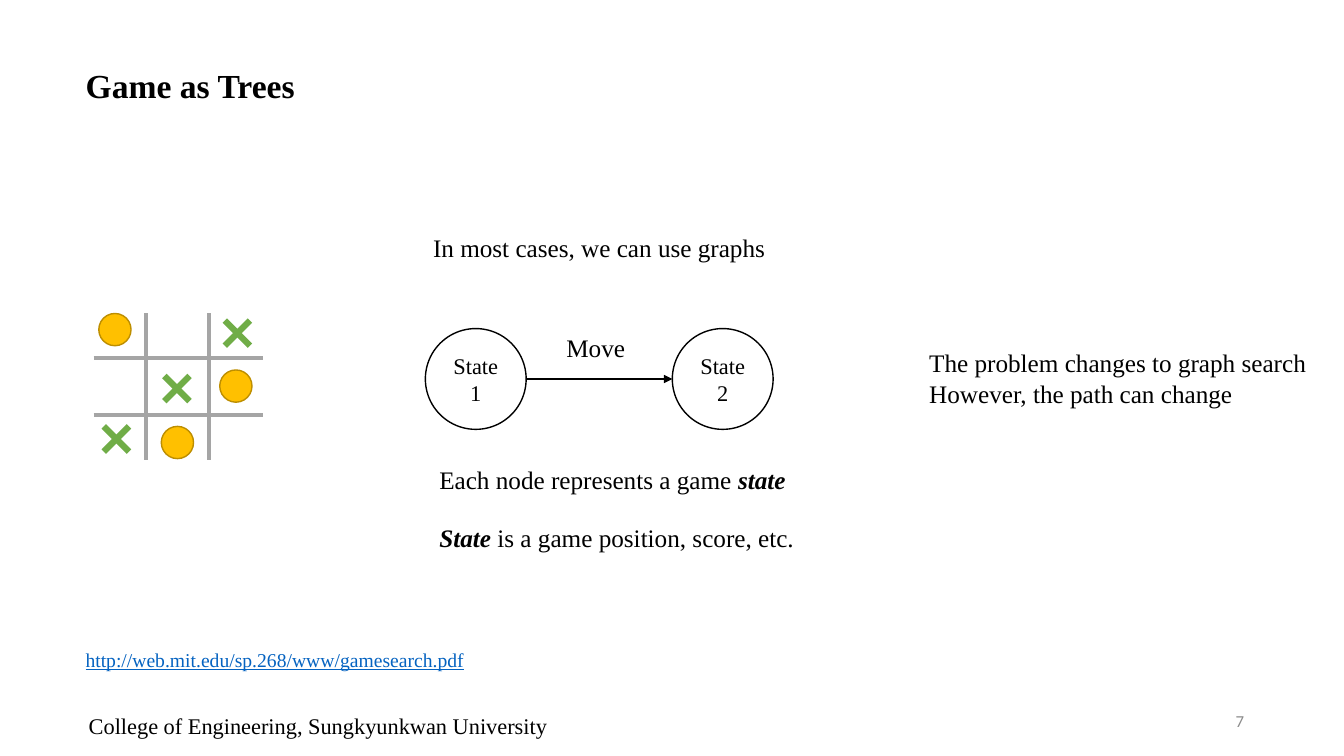
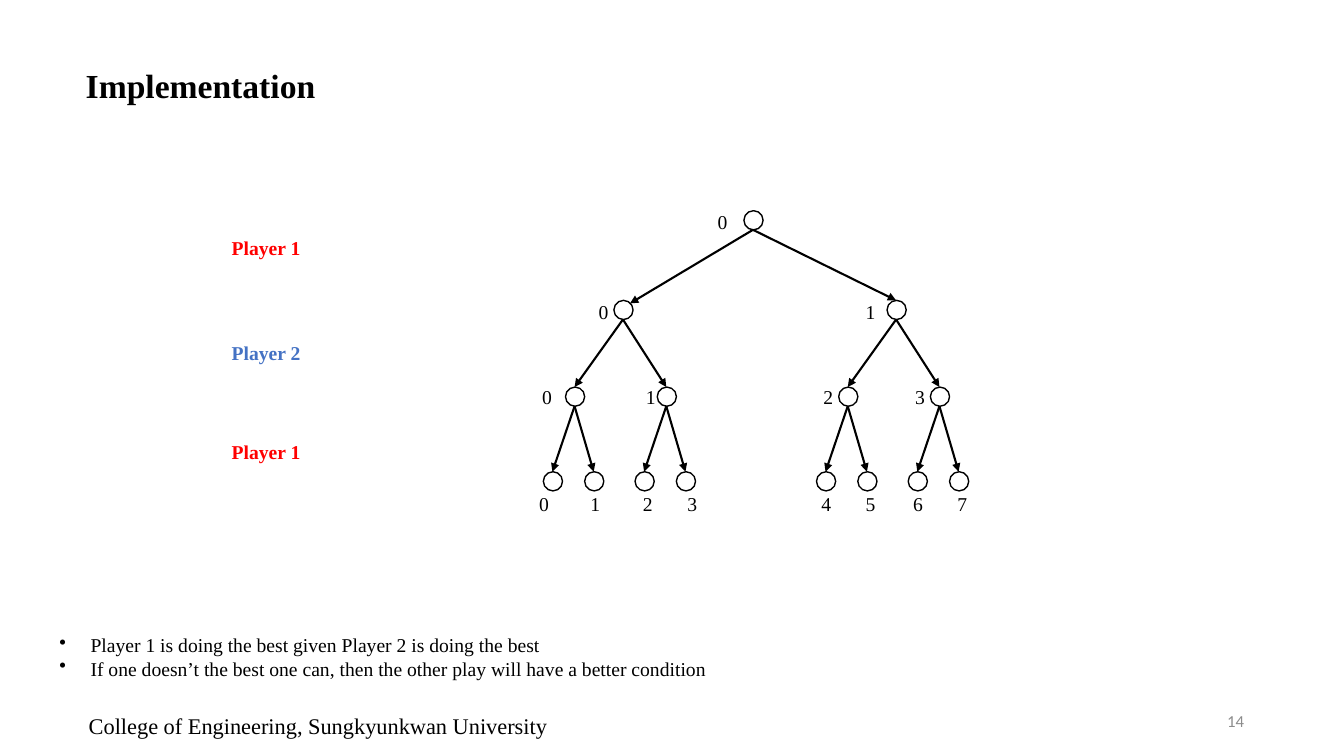
from lxml import etree
from pptx import Presentation, util as u
from pptx.dml.color import RGBColor
from pptx.enum import shapes, text
from pptx.oxml.ns import qn

PX = 9144
SERIF = "Times New Roman"
COLORS = {
    "black": "000000", "white": "FFFFFF", "number": "8C8C8C", "link": "0563C1",
    "grid": "A5A5A5", "gold": "FFC000", "gold edge": "BD8E00", "green": "70AD47",
    "red": "FF0000", "blue": "4472C4",
}
LEFT, CENTER, RIGHT = text.PP_ALIGN.LEFT, text.PP_ALIGN.CENTER, text.PP_ALIGN.RIGHT


def add_box(slide, box, lines=(), size=18, color="black", align=LEFT, bold=None,
            font=SERIF, fill=None, outline="black"):
    frame_box = [value * PX for value in box]
    if fill:
        shape = slide.shapes.add_shape(shapes.MSO_SHAPE.OVAL, *frame_box)
        shape.shadow.inherit = False
        shape.fill.solid()
        shape.fill.fore_color.rgb = RGBColor.from_string(COLORS[fill])
        shape.line.color.rgb = RGBColor.from_string(COLORS[outline])
        shape.line.width = u.Pt(1)
    else:
        shape = slide.shapes.add_textbox(*frame_box)
    frame = shape.text_frame
    frame.word_wrap = True
    for index, line in enumerate(lines):
        paragraph = frame.add_paragraph() if index else frame.paragraphs[0]
        paragraph.alignment = align
        paragraph.font.name = font
        paragraph.font.size = u.Pt(size)
        paragraph.font.bold = bold
        paragraph.font.color.rgb = RGBColor.from_string(COLORS[color])
        for position, part in enumerate(line.split("*")):
            if part:
                run = paragraph.add_run()
                run.text = part
                if position % 2:
                    run.font.bold = run.font.italic = True
    return shape


def add_line(slide, start, end, color="black", width=1.5, arrow=False):
    connector = slide.shapes.add_connector(
        shapes.MSO_CONNECTOR.STRAIGHT, *[value * PX for value in (*start, *end)])
    connector.line.color.rgb = RGBColor.from_string(COLORS[color])
    connector.line.width = u.Pt(width)
    properties = connector._element.spPr
    if arrow:
        etree.SubElement(properties.find(qn("a:ln")), qn("a:tailEnd"), type="triangle")
    etree.SubElement(properties, qn("a:effectLst"))


presentation = Presentation()
presentation.slide_width = u.Inches(13.333)
presentation.slide_height = u.Inches(7.5)

for heading, number in (("Game as Trees", "7"), ("Implementation", "14")):
    slide = presentation.slides.add_slide(presentation.slide_layouts[5])
    title = slide.shapes.title
    title.left, title.top, title.width, title.height = [v * PX for v in (75, 59, 1100, 50)]
    title.text_frame.text = heading
    title.text_frame.vertical_anchor = text.MSO_ANCHOR.TOP
    title.text_frame.auto_size = text.MSO_AUTO_SIZE.NONE
    paragraph = title.text_frame.paragraphs[0]
    paragraph.alignment = LEFT
    paragraph.font.name = SERIF
    paragraph.font.size = u.Pt(24)
    paragraph.font.bold = True
    paragraph.font.color.rgb = RGBColor.from_string(COLORS["black"])
    add_box(slide, (65, 702, 501, 37), ["College of Engineering, Sungkyunkwan University"],
            16, align=CENTER)
    page = add_box(slide, (944, 695, 300, 40), [number], 12, "number", RIGHT, font="Calibri")
    page.text_frame.vertical_anchor = text.MSO_ANCHOR.MIDDLE

graph_slide, tree_slide = presentation.slides

for left, label in ((422, "State 1"), (667, "State 2")):
    add_box(graph_slide, (left, 326, 100, 100), [label], 16, align=CENTER, fill="white")
add_line(graph_slide, (522, 376), (667, 376), arrow=True)

for x in (145, 207):
    add_line(graph_slide, (x, 311), (x, 456), "grid", 3)
for y in (355, 412):
    add_line(graph_slide, (93, y), (261, y), "grid", 3)
for left, top in ((98, 311), (218, 367), (160, 423)):
    add_box(graph_slide, (left, top, 32, 32), fill="gold", outline="gold edge")
for left, top in ((223, 318), (163, 373), (103, 423)):
    right, bottom = left + 25, top + 25
    add_line(graph_slide, (right, top), (left, bottom), "green", 4.5)
    add_line(graph_slide, (left, top), (right, bottom), "green", 4.5)

for box, lines, align in (
    ((552, 325, 85, 40), ["Move"], LEFT),
    ((418, 226, 353, 40), ["In most cases, we can use graphs"], CENTER),
    ((426, 456, 472, 40), ["Each node represents a game *state*"], LEFT),
    ((426, 513, 472, 40), ["*State* is a game position, score, etc."], LEFT),
    ((912, 340, 396, 71),
     ["The problem changes to graph search", "However, the path can change"], LEFT),
):
    add_box(graph_slide, box, lines, align=align)
link = add_box(graph_slide, (75, 638, 565, 34),
               ["http://web.mit.edu/sp.268/www/gamesearch.pdf"], 14, "link")
link.text_frame.paragraphs[0].font.underline = True

for top, player, color in ((229, "Player 1", "red"), (333, "Player 2", "blue"),
                           (432, "Player 1", "red")):
    add_box(tree_slide, (207, top, 114, 34), [player], 14, color, CENTER, True)

advice = add_box(tree_slide, (49, 623, 794, 57), [
    "Player 1 is doing the best given Player 2 is doing the best",
    "If one doesn’t the best one can, then the other play will have a better condition",
], 14)
for paragraph in advice.text_frame.paragraphs:
    properties = paragraph._p.get_or_add_pPr()
    properties.set("marL", str(31 * PX))
    properties.set("indent", str(-31 * PX))
    bullet = etree.Element(qn("a:buChar"), char="•")
    properties.find(qn("a:defRPr")).addprevious(bullet)

NODE = 19
MIDDLE = 9
node_tops = (209, 298, 384, 468)
child_offsets = ((-129, 142), (-48, 43), (-22, 19), ())
label_tops = (203, 293, 377, 483)
label_lefts = (
    (702,),
    (584, 849),
    (528, 631, 807, 898),
    (525, 576, 628, 672, 805, 849, 896, 940),
)
node_lefts = [738]
for level, top in enumerate(node_tops):
    children = []
    for left in node_lefts:
        add_box(tree_slide, (left, top, NODE, NODE), fill="white")
        for offset in child_offsets[level]:
            child = left + offset
            children.append(child)
            tip_x, tip_y = (16, 3) if level == 0 and offset < 0 else (MIDDLE, 0)
            add_line(tree_slide, (left + MIDDLE, top + NODE),
                     (child + tip_x, node_tops[level + 1] + tip_y), arrow=True)
    for index, label_left in enumerate(label_lefts[level]):
        add_box(tree_slide, (label_left, label_tops[level], 24, 34), [str(index)], 14,
                align=CENTER)
    node_lefts = children

presentation.save("out.pptx")
